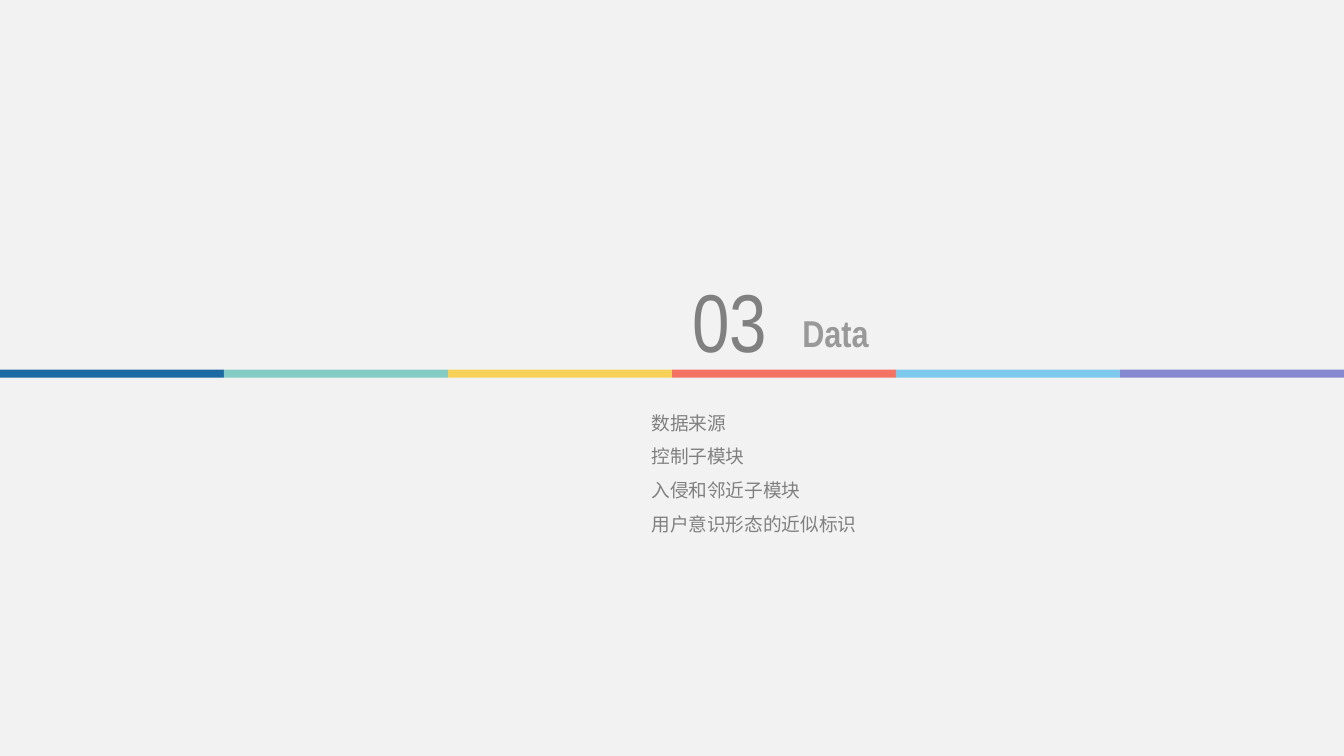
from pptx import Presentation
from pptx.dml.color import RGBColor
from pptx.enum.shapes import MSO_SHAPE
from pptx.enum.text import MSO_ANCHOR, MSO_AUTO_SIZE, PP_ALIGN
from pptx.util import Inches, Pt

BACKGROUND = RGBColor(0xF2, 0xF2, 0xF2)
DARK_GRAY = RGBColor(0x80, 0x80, 0x80)
LIGHT_GRAY = RGBColor(0x99, 0x99, 0x99)
STRIPE_COLORS = [
    RGBColor(0x1D, 0x69, 0xA3),
    RGBColor(0x84, 0xCB, 0xC3),
    RGBColor(0xF8, 0xD1, 0x58),
    RGBColor(0xF5, 0x73, 0x65),
    RGBColor(0x7F, 0xC9, 0xEC),
    RGBColor(0x86, 0x89, 0xD0),
]
SLIDE_WIDTH = 10
SLIDE_HEIGHT = SLIDE_WIDTH * 9 / 16
FONT = "Arial Narrow"
TOPICS = ["数据来源", "控制子模块", "入侵和邻近子模块", "用户意识形态的近似标识"]


def place(shape, left, top, width, height):
    """Move a shape to a box given in inches."""
    box = {"left": left, "top": top, "width": width, "height": height}
    for name, value in box.items():
        setattr(shape, name, Inches(value))


def write(shape, lines, size, color, bold=False, align=PP_ALIGN.LEFT, spacing=1.0, wrap=True):
    """Fill a shape with one formatted paragraph per line."""
    frame = shape.text_frame
    frame.text = "\n".join(lines)
    frame_format = {
        "word_wrap": wrap,
        "auto_size": MSO_AUTO_SIZE.SHAPE_TO_FIT_TEXT,
        "vertical_anchor": MSO_ANCHOR.TOP,
    }
    for name, value in frame_format.items():
        setattr(frame, name, value)
    paragraph_format = {"alignment": align, "line_spacing": spacing, "space_before": Pt(0)}
    font_format = {"name": FONT, "size": Pt(size), "bold": bold}
    for paragraph in frame.paragraphs:
        for name, value in paragraph_format.items():
            setattr(paragraph, name, value)
        font = paragraph.runs[0].font
        for name, value in font_format.items():
            setattr(font, name, value)
        font.color.rgb = color


def add_heading(slide, left, top):
    """Place the section number and the title beside it."""
    title = slide.shapes.title
    place(title, left + 0.87, top + 0.3, 2.76, 0.44)
    write(title, ["Data"], 20, LIGHT_GRAY, bold=True)
    number = slide.shapes.add_textbox(Inches(left), Inches(top), Inches(0.86), Inches(0.84))
    write(number, ["03"], 44, DARK_GRAY, align=PP_ALIGN.CENTER)


def add_stripe(slide, left, top, width, height):
    """Divide a box into equal coloured bars, grouped together."""
    stripe = slide.shapes.add_group_shape()
    bar_width = width / len(STRIPE_COLORS)
    for index, color in enumerate(STRIPE_COLORS):
        bar = stripe.shapes.add_shape(
            MSO_SHAPE.RECTANGLE,
            Inches(left + index * bar_width), Inches(top), Inches(bar_width), Inches(height),
        )
        bar.shadow.inherit = False
        bar.fill.solid()
        bar.fill.fore_color.rgb = color
        bar.line.fill.background()


def add_topics(slide, left, top, width, height):
    """List the topics of the section."""
    topics = slide.shapes.add_textbox(Inches(left), Inches(top), Inches(width), Inches(height))
    write(topics, TOPICS, 10, DARK_GRAY, spacing=1.5, wrap=False)


def build_section_slide(presentation):
    """Add the section slide with its heading, stripe and topics."""
    slide = presentation.slides.add_slide(presentation.slide_layouts[5])
    slide.background.fill.solid()
    slide.background.fill.fore_color.rgb = BACKGROUND
    add_topics(slide, 4.75, 2.93, 1.74, 1.08)
    add_heading(slide, 5, 1.96)
    add_stripe(slide, 0, 2.75, SLIDE_WIDTH, 0.06)


def main():
    """Build and save the presentation."""
    presentation = Presentation()
    presentation.slide_width = Inches(SLIDE_WIDTH)
    presentation.slide_height = Inches(SLIDE_HEIGHT)
    build_section_slide(presentation)
    presentation.save("out.pptx")


if __name__ == "__main__":
    main()
